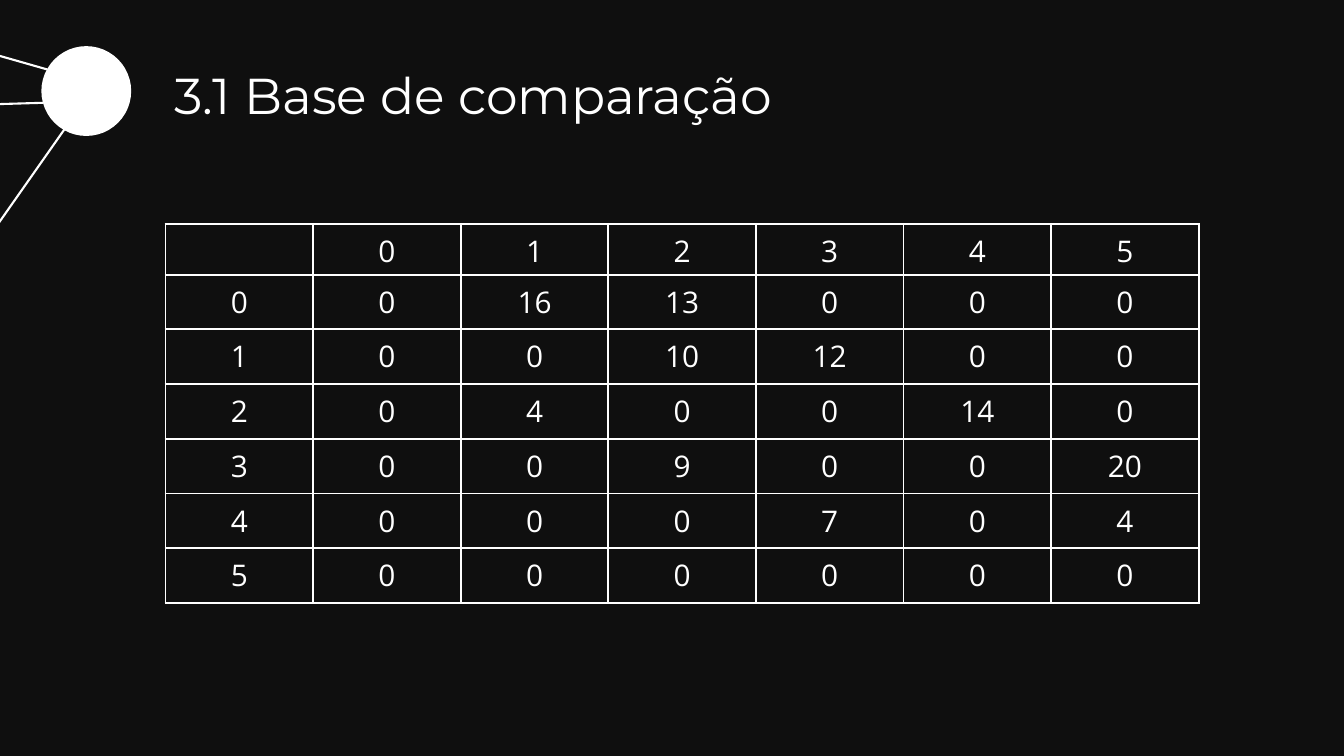
from typing import NamedTuple

from lxml import etree
from pptx import Presentation
from pptx.dml.color import RGBColor
from pptx.enum.shapes import MSO_CONNECTOR, MSO_SHAPE
from pptx.enum.text import PP_ALIGN
from pptx.oxml.ns import qn
from pptx.util import Cm, Pt

WHITE = RGBColor(0xFF, 0xFF, 0xFF)
BLACK = RGBColor(0x0F, 0x0F, 0x0F)
RIGHT, CENTER = PP_ALIGN.RIGHT, PP_ALIGN.CENTER
STRAIGHT, OVAL = MSO_CONNECTOR.STRAIGHT, MSO_SHAPE.OVAL

LINE_WIDTH = Pt(1.5)
TITLE_FONT = {"name": "Montserrat", "size": Pt(36)}
CELL_FONT = {"name": "Open Sans", "size": Pt(21.3)}
CELL_MARGINS = ("margin_left", "margin_right", "margin_top", "margin_bottom")
CELL_MARGIN = Cm(0.17)
COL_WIDTH, HEADER_HEIGHT, ROW_HEIGHT = Cm(3.72), Cm(1.28), Cm(1.38)

CAPACITIES = [
    [0, 16, 13, 0, 0, 0],
    [0, 0, 10, 12, 0, 0],
    [0, 4, 0, 0, 14, 0],
    [0, 0, 9, 0, 0, 20],
    [0, 0, 0, 7, 0, 4],
    [0, 0, 0, 0, 0, 0],
]


class Ray(NamedTuple):
    """A line leaving the circle, in centimetres."""
    x1: float
    y1: float
    x2: float
    y2: float


RAYS = [
    Ray(1.09, 2.59, -16, 3.1),
    Ray(1.63, 3.25, -14.63, 26.42),
    Ray(1.19, 1.75, -36.3, -8.94),
]


def write(p, text: str, align, font: dict) -> None:
    p.alignment = align
    r = p.add_run()
    r.text = text
    r.font.color.rgb = WHITE
    for name, value in font.items():
        setattr(r.font, name, value)


def add_ray(s, ray: Ray) -> None:
    line = s.shapes.add_connector(STRAIGHT, *map(Cm, ray))
    line.line.color.rgb = WHITE
    line.line.width = LINE_WIDTH
    etree.SubElement(line._element.spPr, qn("a:effectLst"))


def add_circle(s) -> None:
    sp = s.shapes.add_shape(OVAL, Cm(1.07), Cm(1.19), Cm(2.21), Cm(2.21))
    sp.shadow.inherit = False
    sp.fill.solid()
    sp.fill.fore_color.rgb = WHITE
    sp.line.color.rgb = WHITE
    sp.line.width = LINE_WIDTH


def add_title(s, text: str) -> None:
    tf = s.shapes.add_textbox(Cm(3.78), Cm(1.5), Cm(15.93), Cm(1.8)).text_frame
    tf.word_wrap = True
    write(tf.paragraphs[0], text, RIGHT, TITLE_FONT)


def add_borders(cell) -> None:
    tc_pr = cell._tc.get_or_add_tcPr()
    for i, side in enumerate(("lnL", "lnR", "lnT", "lnB")):
        ln = etree.Element(qn(f"a:{side}"), w=str(LINE_WIDTH))
        fill = etree.SubElement(ln, qn("a:solidFill"))
        etree.SubElement(fill, qn("a:srgbClr"), val=str(WHITE))
        tc_pr.insert(i, ln)


def add_matrix(s, values: list[list[int]]) -> None:
    """Draw the values with node numbers along the top and left."""
    n = len(values)
    rows = [["", *range(n)]] + [[i, *row] for i, row in enumerate(values)]
    table = s.shapes.add_table(
        n + 1, n + 1, Cm(4.17), Cm(5.64),
        COL_WIDTH * (n + 1), HEADER_HEIGHT + ROW_HEIGHT * n).table
    table.first_row = table.horz_banding = False
    for col in table.columns:
        col.width = COL_WIDTH
    for i, row in enumerate(rows):
        table.rows[i].height = ROW_HEIGHT if i else HEADER_HEIGHT
        for j, value in enumerate(row):
            cell = table.cell(i, j)
            cell.fill.background()
            for margin in CELL_MARGINS:
                setattr(cell, margin, CELL_MARGIN)
            add_borders(cell)
            if value != "":
                write(cell.text_frame.paragraphs[0], str(value), CENTER, CELL_FONT)


def main() -> None:
    prs = Presentation()
    prs.slide_width, prs.slide_height = Cm(33.87), Cm(19.05)
    s = prs.slides.add_slide(prs.slide_layouts[6])
    s.background.fill.solid()
    s.background.fill.fore_color.rgb = BLACK
    add_circle(s)
    for ray in RAYS:
        add_ray(s, ray)
    add_title(s, "3.1 Base de comparação")
    add_matrix(s, CAPACITIES)
    prs.save("out.pptx")


if __name__ == "__main__":
    main()
